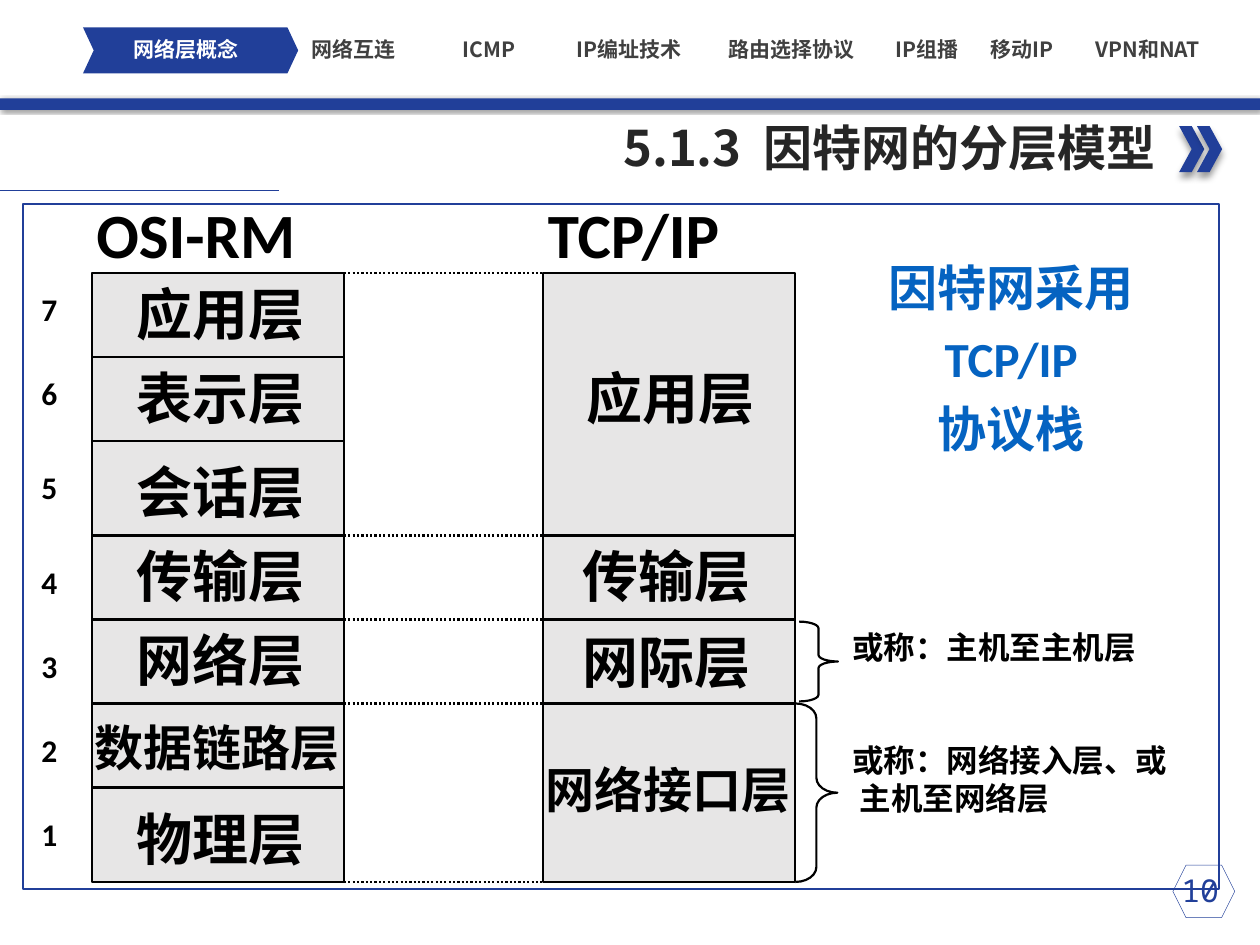
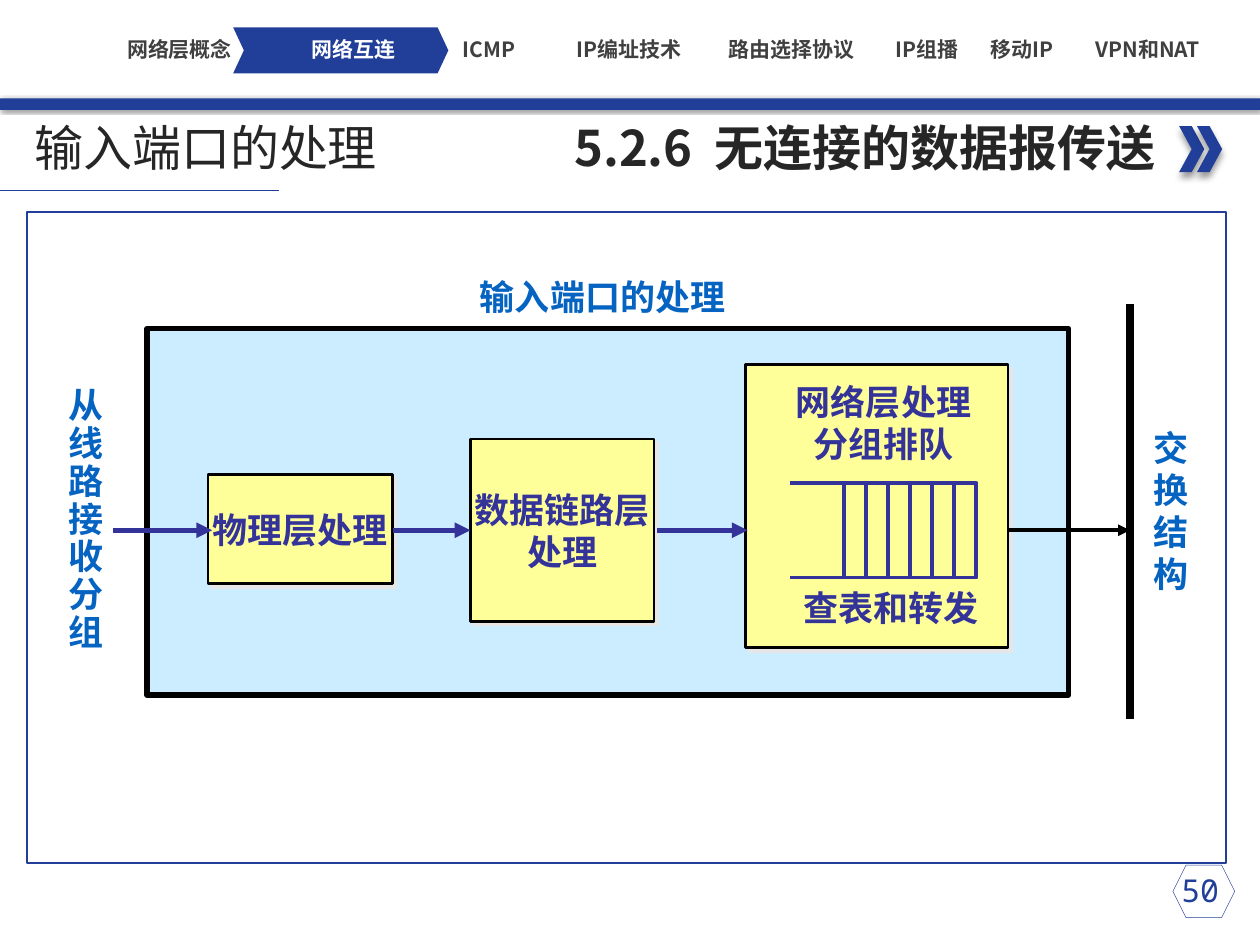
from dataclasses import dataclass
from typing import Any, NamedTuple, Optional

from lxml.etree import SubElement
from pptx import Presentation
from pptx.dml.color import RGBColor
from pptx.enum.dml import MSO_LINE as Dash
from pptx.enum.shapes import MSO_CONNECTOR as Link, MSO_SHAPE as Kind
from pptx.enum.text import MSO_ANCHOR as Anchor, MSO_AUTO_SIZE as Fit, PP_ALIGN as Align
from pptx.oxml.ns import qn
from pptx.util import Inches, Pt

# Every place is given on a grid of 120 columns by 90 rows.
WIDE, HIGH = Inches(10), Inches(7.5)
COL, ROW = WIDE / 120, HIGH / 90

HUES = {
    "navy": "213F99", "blue": "0563C1", "ink": "333399", "black": "000000",
    "white": "FFFFFF", "dark": "262626", "tab": "404040", "gray": "E7E6E6",
    "sky": "CCECFF", "cream": "FFFF99",
}
HAN = "Noto Sans CJK SC"


class Box(NamedTuple):
    x: float
    y: float
    w: float
    h: float


class Pen(NamedTuple):
    hue: str
    size: float
    dash: Optional[Dash] = None
    arrow: bool = False


class Glow(NamedTuple):
    """A shadow: opacity in percent, blur and distance in points, angle in degrees."""
    hue: str
    alpha: int
    blur: float
    dist: float
    turn: int


@dataclass(frozen=True)
class Look:
    size: float
    hue: str
    font: str = HAN
    bold: bool = True
    align: Align = Align.LEFT
    lead: float = 1.0
    gap: float = 0


class Tab(NamedTuple):
    name: str
    x: float


class Layer(NamedTuple):
    name: str
    top: float
    size: float = 32
    x: float = 11.8
    w: float = 19
    wrap: bool = True


class Stage(NamedTuple):
    name: str
    box: Box


TABS = [
    Tab("网络层概念", 8.4), Tab("网络互连", 25), Tab("ICMP", 37.9),
    Tab("IP编址技术", 51.2), Tab("路由选择协议", 66.7), Tab("IP组播", 79.6),
    Tab("移动IP", 88.6), Tab("VPN和NAT", 100.6),
]
HEAD = Look(28, "dark", align=Align.RIGHT)
SIDE = Look(28, "dark", bold=False)
PAGE = Look(18, "navy", "Noto Sans Mono", False, Align.CENTER)
NOTE = Look(18, "black", "Calibri")
NAME = Look(36, "black", "Calibri")
PLEA = Look(28, "blue", "Calibri", True, Align.CENTER, 0.9, 10)
WORK = Look(20, "ink", "Arial", align=Align.CENTER)
SIGN = Look(20, "blue", "Arial", align=Align.CENTER)
TIGHT = Look(20, "blue", "Arial", align=Align.CENTER, lead=0.9)

EDGE = Pen("black", 1.25)
DOTS = Pen("black", 1.25, Dash.ROUND_DOT)
RIM = Pen("navy", 1)
FLOW = Pen("ink", 3, arrow=True)
BAR = Pen("ink", 2.25)
FLUSH = dict.fromkeys(
    ("margin_left", "margin_right", "margin_top", "margin_bottom"), 0)


def put(obj: Any, vals: dict) -> None:
    for key, val in vals.items():
        setattr(obj, key, val)


def rgb(hue: str) -> RGBColor:
    return RGBColor.from_string(HUES[hue])


def span(box: Box) -> tuple:
    return (round(box.x * COL), round(box.y * ROW),
            round(box.w * COL), round(box.h * ROW))


def dress(run: Any, look: Look) -> None:
    run.font.color.rgb = rgb(look.hue)
    put(run.font, {"size": Pt(look.size), "bold": look.bold, "name": look.font})
    SubElement(run.font._element, qn("a:ea")).set("typeface", HAN)


def fill_text(frame: Any, words: str, look: Look, form: dict) -> None:
    """Write one paragraph for each line of words."""
    put(frame, form)
    for num, line in enumerate(words.split("\n")):
        para = frame.paragraphs[0] if num == 0 else frame.add_paragraph()
        put(para, {"alignment": look.align, "line_spacing": look.lead,
                   "space_before": Pt(look.gap)})
        run = para.add_run()
        run.text = line
        dress(run, look)


def write(page: Any, box: Box, words: str, look: Look,
          wrap: bool = True, **form: Any) -> Any:
    frame = page.shapes.add_textbox(*span(box)).text_frame
    base = {"word_wrap": wrap, "auto_size": Fit.SHAPE_TO_FIT_TEXT}
    fill_text(frame, words, look, base | form)
    return frame


def ink(line: Any, pen: Optional[Pen]) -> None:
    if pen is None:
        line.fill.background()
        return
    line.color.rgb = rgb(pen.hue)
    line.width = Pt(pen.size)
    if pen.dash:
        line.dash_style = pen.dash


def paint(shape: Any, hue: Optional[str], pen: Optional[Pen],
          glow: Optional[Glow] = None) -> None:
    shape.shadow.inherit = False
    if hue:
        shape.fill.solid()
        shape.fill.fore_color.rgb = rgb(hue)
    else:
        shape.fill.background()
    ink(shape.line, pen)
    if glow:
        vals = {"blurRad": Pt(glow.blur), "dist": Pt(glow.dist),
                "dir": glow.turn * 60000, "algn": "tl", "rotWithShape": 0}
        shade = SubElement(shape.element.spPr.find(qn("a:effectLst")), qn("a:outerShdw"),
                           {key: str(val) for key, val in vals.items()})
        tone = SubElement(shade, qn("a:srgbClr"), val=HUES[glow.hue])
        SubElement(tone, qn("a:alpha"), val=str(glow.alpha * 1000))


def draw(page: Any, kind: Kind, box: Box, hue: Optional[str] = None,
         pen: Optional[Pen] = None, glow: Optional[Glow] = None,
         bend: Optional[float] = None) -> Any:
    shape = page.shapes.add_shape(kind, *span(box))
    paint(shape, hue, pen, glow)
    if bend is not None:
        shape.adjustments[0] = bend
    return shape


def wire(page: Any, x1: float, y1: float, x2: float, y2: float, pen: Pen) -> None:
    ends = (round(x1 * COL), round(y1 * ROW), round(x2 * COL), round(y2 * ROW))
    link = page.shapes.add_connector(Link.STRAIGHT, *ends)
    ink(link.line, pen)
    props = link.element.spPr
    if pen.arrow:
        SubElement(props.find(qn("a:ln")), qn("a:tailEnd"), type="triangle")
    SubElement(props, qn("a:effectLst"))


def start(deck: Any, num: int, code: str, name: str) -> Any:
    """Add a page with its band, title, marker and page number."""
    page = deck.slides.add_slide(deck.slide_layouts[6])
    draw(page, Kind.HEXAGON, Box(111.7, 82.4, 5.9, 5), pen=Pen("navy", 0.25))
    draw(page, Kind.RECTANGLE, Box(0, 9.36, 120, 1.1), "navy",
         glow=Glow("black", 40, 2, 1, 45))
    for x in (112.3, 114):
        draw(page, Kind.CHEVRON, Box(x, 12, 2.4, 4.4), "navy",
             glow=Glow("black", 40, 4, 3, 90))
    write(page, Box(109.1, 82.4, 10.4, 4.8), str(num), PAGE)
    title = write(page, Box(9.1, 10.6, 102.1, 6.8), code, HEAD)
    for part in (" ", name):
        run = title.paragraphs[0].add_run()
        run.text = part
        dress(run, HEAD)
        if part == " ":
            run.font._element.set("spc", "630")
    wire(page, 0, 18.1, 26.6, 18.1, Pen("navy", 0.5))
    return page


def menu(page: Any, live: int, left: float, nudge: float = 0) -> None:
    """Draw the tabs; the live one is marked, and moved by nudge."""
    draw(page, Kind.CHEVRON, Box(left, 2.6, 20.5, 4.4), "navy", bend=0.234)
    for num, tab in enumerate(TABS):
        on = num == live
        look = Look(12, "white" if on else "tab", align=Align.CENTER)
        box = Box(tab.x + nudge * on, 3.5, 17.4, 2.4)
        write(page, box, tab.name, look, vertical_anchor=Anchor.MIDDLE, **FLUSH)


def stack(page: Any, left: float, rows: list, layers: list) -> None:
    """Draw a column of layers, split at the given rows."""
    top, end = rows[0], rows[-1]
    draw(page, Kind.RECTANGLE, Box(left, top, 24, end - top), "gray", EDGE)
    for y in rows[1:-1]:
        wire(page, left, y, left + 24, y, EDGE)
    for item in layers:
        write(page, Box(item.x, item.top, item.w, 7.6), item.name,
              Look(item.size, "black", "Calibri"), item.wrap)


def models(deck: Any) -> None:
    page = start(deck, 10, "5.1.3", "因特网的分层模型")
    write(page, Box(79.8, 24.6, 33, 26), "因特网采用\nTCP/IP\n协议栈", PLEA,
          auto_size=Fit.NONE)
    osi, net = 8.75, 51.75
    rows = [26, 34, 42, 51, 59, 67, 75, 84]
    names = ["应用层", "表示层", "会话层", "传输层", "网络层", "", "物理层"]
    layers = [Layer(name, end - 8) for name, end in zip(names, rows[1:]) if name]
    layers.append(Layer("数据链路层", 67.7, 28, 7.8, 25.8, False))
    stack(page, osi, rows, layers)
    joints = [26, 51, 59, 67, 84]
    stack(page, net, joints, [
        Layer("应用层", 34, x=54.7), Layer("传输层", 51, x=54.3),
        Layer("网际层", 59.2, x=54.3, w=20.4),
        Layer("网络接口层", 71.7, 28, 50.8, 25.8, False),
    ])
    for y in joints:
        wire(page, osi + 24, y, net, y, DOTS)
    for name, x, w in (("OSI-RM", 8, 21.6), ("TCP/IP", 51, 19)):
        write(page, Box(x, 18, w, 8.5), name, NAME, False)
    for num, y in enumerate((77, 69, 61, 53, 44, 35, 27), 1):
        write(page, Box(2.75, y, 4, 4.8), str(num), NOTE, False)
    for box, bend in ((Box(75.75, 67, 4, 17), 0.354), (Box(76.1, 59.2, 3.7, 7.6), 0.171)):
        draw(page, Kind.RIGHT_BRACE, box, pen=EDGE, bend=bend)
    write(page, Box(80, 59.2, 40, 4.8), "或称：主机至主机层", NOTE)
    alias = write(page, Box(80, 70, 35, 8.5), "或称：网络接入层、或\n主机至网络层", NOTE)
    alias.paragraphs[1]._p.get_or_add_pPr().set("marL", str(round(0.7 * COL)))
    draw(page, Kind.RECTANGLE, Box(2.2, 19.4, 113.9, 65.3), pen=RIM)
    menu(page, 0, 7.9, 0.6)


def queue(page: Any, left: float, top: float, right: float, low: float) -> None:
    spots = [(round(x * COL), round(y * ROW))
             for x, y in ((left, top), (right, top), (right, low), (left, low))]
    pen = page.shapes.build_freeform(*spots[0])
    pen.add_line_segments(spots[1:], close=False)
    paint(pen.convert_to_shape(), "cream", BAR)
    for num in range(1, 7):
        x = right - 2.1 * num
        wire(page, x, top, x, low, BAR)


def port(deck: Any) -> None:
    page = start(deck, 50, "5.2.6", "无连接的数据报传送")
    write(page, Box(2.1, 11, 47, 5.9), "输入端口的处理", SIDE,
          auto_size=Fit.NONE, vertical_anchor=Anchor.MIDDLE)
    draw(page, Kind.RECTANGLE, Box(2.6, 20.2, 114.2, 62), pen=RIM)
    draw(page, Kind.RECTANGLE, Box(14, 31.3, 87.8, 34.9), "sky", Pen("black", 3))
    stages = [
        Stage("物理层处理", Box(19.8, 45.2, 17.6, 10.4)),
        Stage("数据链路层\n处理", Box(44.8, 41.8, 17.5, 17.4)),
        Stage("", Box(71, 34.7, 25, 27)),
    ]
    for name, box in stages:
        shape = draw(page, Kind.RECTANGLE, box, "cream", Pen("black", 1.5),
                     Glow("gray", 100, 0, 2.8, 45))
        if name:
            fill_text(shape.text_frame, name, WORK,
                      {"word_wrap": False, "vertical_anchor": Anchor.MIDDLE})
    mid, wall = 50.5, 107.6
    for x1, x2 in ((10.8, 20.2), (37.4, 44.8), (62.6, 71.2)):
        wire(page, x1, mid, x2, mid, FLOW)
    wire(page, 96, mid, wall, mid, Pen("black", 2.25, arrow=True))
    wire(page, wall, 29, wall, 68.5, Pen("black", 4.5))
    queue(page, 75.2, 46, 93, 55)
    for box, words, look in (
        (Box(74.5, 35.6, 19.3, 9.2), "网络层处理\n分组排队", WORK),
        (Box(75.2, 55.3, 19.3, 5.3), "查表和转发", WORK),
        (Box(43.5, 25.6, 27.8, 5.2), "输入端口的处理", SIGN),
        (Box(108.6, 40, 5.8, 17.4), "\n".join("交换结构"), SIGN),
        (Box(5.3, 36.4, 5.8, 26.6), "\n".join("从线路接收分组"), TIGHT),
    ):
        write(page, box, words, look, False)
    menu(page, 1, 22.2)


def main() -> None:
    deck = Presentation()
    put(deck, {"slide_width": WIDE, "slide_height": HIGH})
    models(deck)
    port(deck)
    deck.save("out.pptx")


if __name__ == "__main__":
    main()
